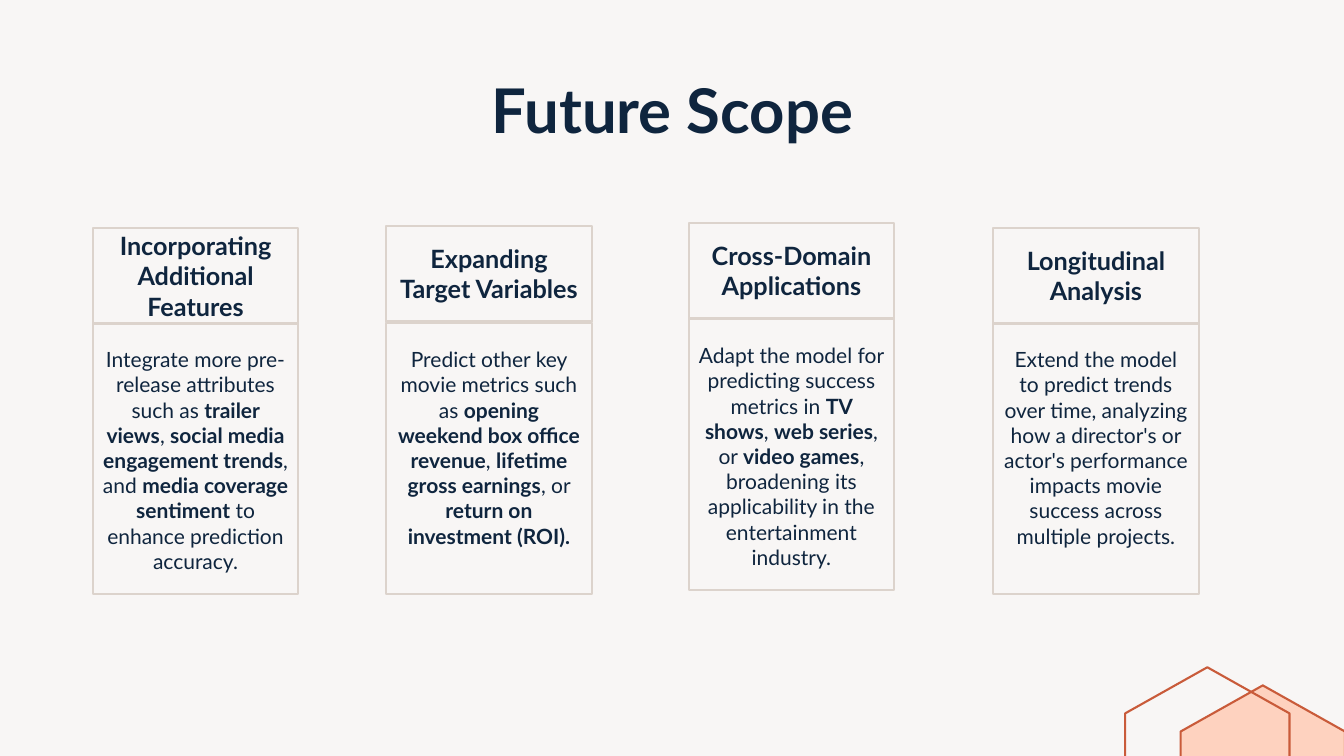
from pptx import Presentation
from pptx import util as u
from pptx.dml.color import RGBColor
from pptx.enum import shapes, text

WIDTH, HEIGHT = 13.33, 7.5
FONT = "Lato"
COLORS = {
    "paper": "F8F6F5",
    "border": "DCD3CC",
    "ink": "0F253E",
    "peach": "FED2BF",
    "rust": "C95B3A",
}
CARD_WIDTH, HEADER_HEIGHT, BODY_HEIGHT = 2.04, 0.95, 2.69
HEXAGON_WIDTH, HEXAGON_HEIGHT = 1.63, 1.83
CARDS = [
    (0.92, 2.26, 3.2, "Incorporating Additional Features",
     "Integrate more pre-release attributes such as **trailer views**, "
     "**social media engagement trends**, and **media coverage sentiment** "
     "to enhance prediction accuracy."),
    (3.83, 2.24, 3.2, "Expanding Target Variables",
     "Predict other key movie metrics such as **opening weekend box office "
     "revenue**, **lifetime gross earnings**, or "
     "**return on investment (ROI).**"),
    (6.83, 2.21, 3.16, "Cross-Domain Applications",
     "Adapt the model for predicting success metrics in **TV shows**, "
     "**web series**, or **video games**, broadening its applicability "
     "in the entertainment industry."),
    (9.85, 2.26, 3.2, "Longitudinal Analysis",
     "Extend the model to predict trends over time, analyzing how a "
     "director's or actor's performance impacts movie success across "
     "multiple projects."),
]


def color(name):
    return RGBColor.from_string(COLORS[name])


def outline(shape, name):
    shape.shadow.inherit = False
    shape.line.color.rgb = color(name)
    shape.line.width = u.Pt(1.5)


def write(shape, words, size, anchor, top_inset=0.05):
    frame = shape.text_frame
    frame.word_wrap = True
    frame.vertical_anchor = anchor
    frame.margin_left = frame.margin_right = u.Inches(0.1)
    frame.margin_top = u.Inches(top_inset)
    frame.margin_bottom = u.Inches(0.05)
    para = frame.paragraphs[0]
    para.alignment = text.PP_ALIGN.CENTER
    para.font.name = FONT
    para.font.size = u.Pt(size)
    para.font.color.rgb = color("ink")
    for index, part in enumerate(words.split("**")):
        if part:
            span = para.add_run()
            span.text = part
            span.font.name = FONT
            span.font.size = u.Pt(size)
            span.font.color.rgb = color("ink")
            span.font.bold = index % 2 == 1
    return para


def add_title(page, words):
    box = page.shapes.add_textbox(
        u.Inches(0.92), u.Inches(0.4), u.Inches(11.5), u.Inches(1.45))
    para = write(box, f"**{words}**", 44, text.MSO_ANCHOR.MIDDLE)
    para.line_spacing = 0.9


def add_panel(page, left, top, height):
    panel = page.shapes.add_shape(
        shapes.MSO_SHAPE.RECTANGLE, u.Inches(left), u.Inches(top),
        u.Inches(CARD_WIDTH), u.Inches(height))
    panel.fill.background()
    outline(panel, "border")
    return panel


def add_card(page, left, header_top, body_top, heading, words):
    body = add_panel(page, left, body_top, BODY_HEIGHT)
    write(body, words, 15, text.MSO_ANCHOR.TOP, top_inset=0.24)
    header = add_panel(page, left, header_top, HEADER_HEIGHT)
    para = write(header, f"**{heading}**", 18, text.MSO_ANCHOR.MIDDLE)
    para.space_before = u.Pt(10)


def add_hexagon(page, left, top, fill=None):
    corners = [(0.5, 0), (1, 0.25), (1, 0.75), (0.5, 1), (0, 0.75), (0, 0.25)]
    points = [(u.Inches(left + x * HEXAGON_WIDTH),
               u.Inches(top + y * HEXAGON_HEIGHT)) for x, y in corners]
    builder = page.shapes.build_freeform(*points[0])
    builder.add_line_segments(points[1:], close=True)
    hexagon = builder.convert_to_shape()
    outline(hexagon, "rust")
    if fill:
        hexagon.fill.solid()
        hexagon.fill.fore_color.rgb = color(fill)
    else:
        hexagon.fill.background()


def main():
    deck = Presentation()
    deck.slide_width = u.Inches(WIDTH)
    deck.slide_height = u.Inches(HEIGHT)
    page = deck.slides.add_slide(deck.slide_layouts[6])
    page.background.fill.solid()
    page.background.fill.fore_color.rgb = color("paper")
    add_title(page, "Future Scope")
    for card in CARDS:
        add_card(page, *card)
    add_hexagon(page, 11.71, 6.8, "peach")
    add_hexagon(page, 11.16, 6.62)
    deck.save("out.pptx")


if __name__ == "__main__":
    main()
